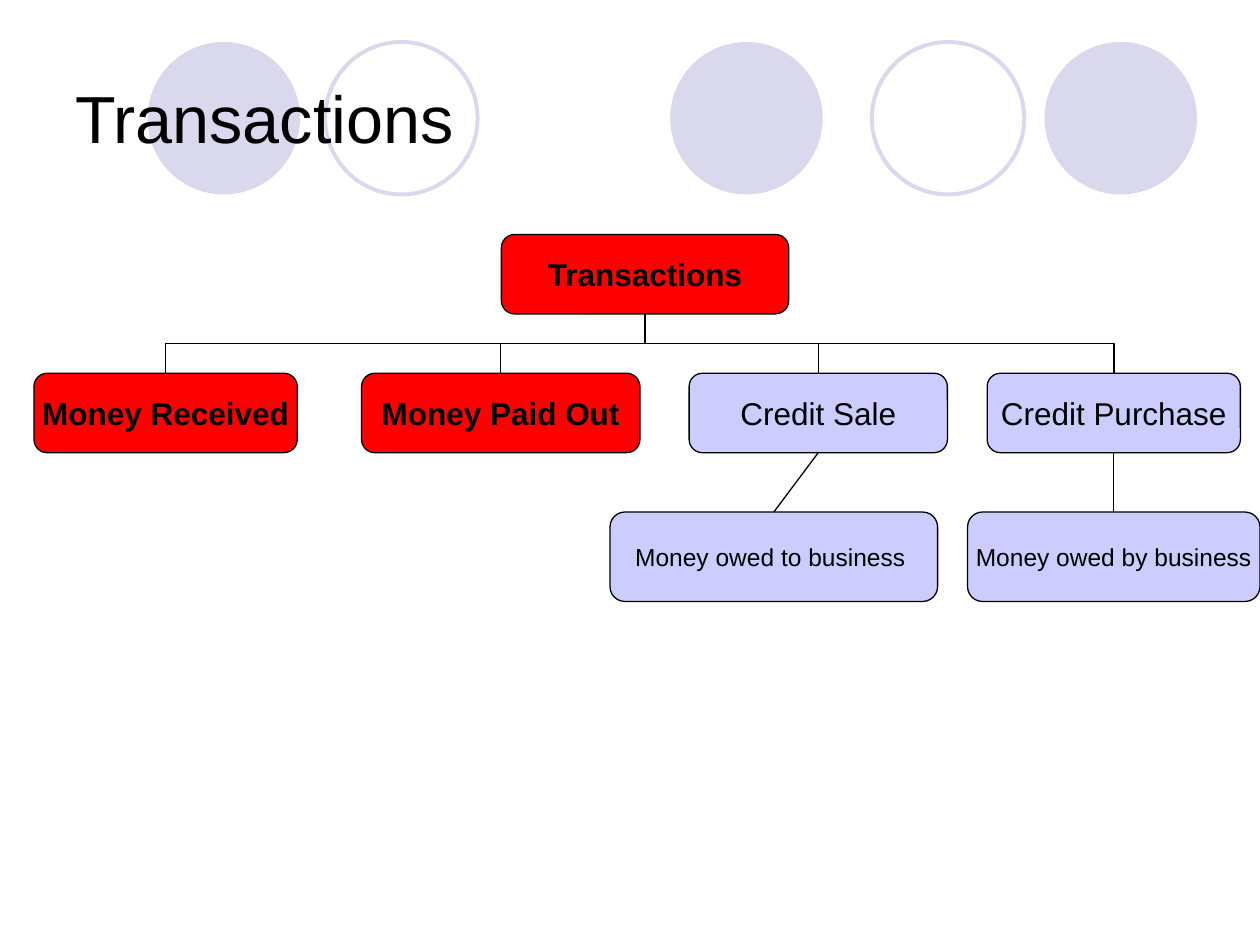
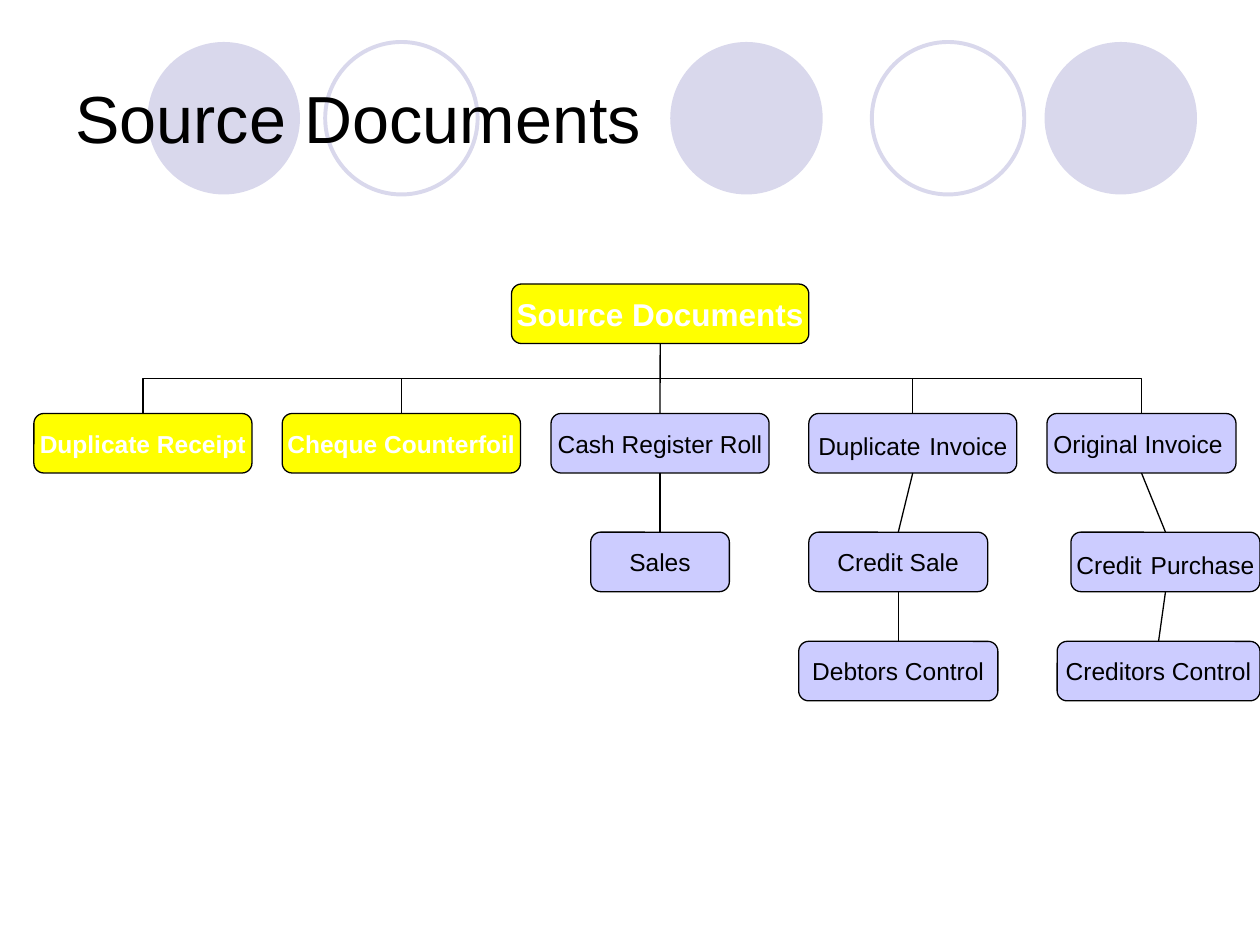
from collections import namedtuple

from lxml import etree
from pptx import Presentation
from pptx.dml.color import RGBColor
from pptx.enum import shapes, text
from pptx.oxml.ns import qn
from pptx.util import Pt

# Shared look
FONT = "Arial"
BLACK = RGBColor(0x00, 0x00, 0x00)
WHITE = RGBColor(0xFF, 0xFF, 0xFF)
RED = RGBColor(0xFF, 0x00, 0x00)
YELLOW = RGBColor(0xFF, 0xFF, 0x00)
LILAC = RGBColor(0xCC, 0xCC, 0xFF)
PALE = RGBColor(0xD9, 0xD8, 0xEC)
HEADER_BOX = (36, 21.6, 648, 90)
CHART_LEFT = 19.4

# Box looks: fill, font colour, bold
Look = namedtuple("Look", "fill color bold")
PLAIN = Look(LILAC, BLACK, False)
RED_MARK = Look(RED, BLACK, True)
YELLOW_MARK = Look(YELLOW, WHITE, True)

# A tier lies dy below the top of its chart; a node lies dx from its left edge
# and hangs from the node of that index in the tier above.
Tier = namedtuple("Tier", "dy height size nodes")
Node = namedtuple("Node", "runs dx width look parent", defaults=(PLAIN, 0))

TRANSACTIONS = [
    Tier(0, 45.4, 18, [Node(["Transactions"], 267.1, 164.2, RED_MARK)]),
    Tier(79.3, 45.4, 18, [
        Node(["Money Received"], 0, 150.5, RED_MARK),
        Node(["Money Paid Out"], 187.2, 159.1, RED_MARK),
        Node(["Credit Sale"], 374.4, 147.6),
        Node(["Credit Purchase"], 544.7, 144.7),
    ]),
    Tier(158.6, 51.1, 14, [
        Node(["Money owed to business "], 329.2, 187.2, PLAIN, 2),
        Node(["Money owed by business"], 533.5, 167.1, PLAIN, 3),
    ]),
]

SOURCE_DOCUMENTS = [
    Tier(0, 34, 18, [Node(["Source Documents"], 272.9, 169.9, YELLOW_MARK)]),
    Tier(74, 34, 14, [
        Node(["Duplicate Receipt"], 0, 124.6, YELLOW_MARK),
        Node(["Cheque Counterfoil"], 141.9, 136.1, YELLOW_MARK),
        Node(["Cash Register Roll"], 295.5, 124.6),
        Node(["Duplicate", " ", "Invoice"], 442.8, 118.8),
        Node(["Original Invoice "], 578.9, 108),
    ]),
    Tier(141.8, 34, 14, [
        Node(["Sales"], 318.2, 79.2, PLAIN, 2),
        Node(["Credit Sale"], 442.8, 102.2, PLAIN, 3),
        Node(["Credit", " ", "Purchase"], 592.6, 108, PLAIN, 4),
    ]),
    Tier(204.2, 34, 14, [
        Node(["Debtors Control"], 437, 113.8, PLAIN, 1),
        Node(["Creditors Control"], 584.7, 115.9, PLAIN, 2),
    ]),
]


def add_run(p, words, size, color=BLACK, bold=False):
    r = p.add_run()
    r.text = words
    r.font.name, r.font.size, r.font.bold = FONT, Pt(size), bold
    r.font.color.rgb = color


def add_header(s, title, left, top, width, height):
    # Row of filled and open circles
    circle = 87.1
    for dx, is_open in [(347, False), (560.9, False), (48.3, False),
                        (462.2, True), (149.8, True)]:
        sp = s.shapes.add_shape(shapes.MSO_SHAPE.OVAL, Pt(left + dx), Pt(top + 2.4),
                                Pt(circle), Pt(circle))
        sp.shadow.inherit = False
        if is_open:
            sp.fill.background()
            sp.line.color.rgb = PALE
            sp.line.width = Pt(2.25)
        else:
            sp.fill.solid()
            sp.fill.fore_color.rgb = PALE
            sp.line.fill.background()
    # Title over the circles
    tf = s.shapes.add_textbox(Pt(left), Pt(top), Pt(width), Pt(height)).text_frame
    tf.word_wrap = True
    tf.vertical_anchor = text.MSO_ANCHOR.MIDDLE
    add_run(tf.paragraphs[0], title, 38)


def add_box(s, node, size, left, top, height):
    sp = s.shapes.add_shape(shapes.MSO_SHAPE.ROUNDED_RECTANGLE, Pt(left), Pt(top),
                            Pt(node.width), Pt(height))
    sp.shadow.inherit = False
    sp.fill.solid()
    sp.fill.fore_color.rgb = node.look.fill
    sp.line.color.rgb = BLACK
    sp.line.width = Pt(0.75)
    tf = sp.text_frame
    tf.word_wrap = False
    tf.vertical_anchor = text.MSO_ANCHOR.MIDDLE
    p = tf.paragraphs[0]
    p.alignment = text.PP_ALIGN.CENTER
    for words in node.runs:
        # A space in a run of its own is set larger
        add_run(p, words, 18 if words == " " else size, node.look.color, node.look.bold)
    return sp


def join(s, parent, child, bent):
    x1, y1 = parent.left + parent.width // 2, parent.top + parent.height
    x2, y2 = child.left + child.width // 2, child.top
    bent = bent and abs(x2 - x1) > Pt(1)
    kind = shapes.MSO_CONNECTOR.ELBOW if bent else shapes.MSO_CONNECTOR.STRAIGHT
    c = s.shapes.add_connector(kind, x1, y1, x2, y2)
    c.begin_connect(parent, 2)
    c.end_connect(child, 0)
    c.line.color.rgb = BLACK
    c.line.width = Pt(0.75)
    etree.SubElement(c._element.spPr, qn("a:effectLst"))
    if bent:
        # Turn the elbow so that it leaves downwards
        c.width, c.height = y2 - y1, abs(x2 - x1)
        c.left = (x1 + x2 - c.width) // 2
        c.top = (y1 + y2 - c.height) // 2
        xfrm = c._element.spPr.find(qn("a:xfrm"))
        rightward = x2 > x1
        xfrm.set("rot", str((270 if rightward else 90) * 60000))
        xfrm.set("flipH", "1" if rightward else "0")


def add_tree(s, tiers, left, top):
    above = []
    for level, tier in enumerate(tiers):
        boxes = [add_box(s, node, tier.size, left + node.dx, top + tier.dy, tier.height)
                 for node in tier.nodes]
        if above:
            for node, box in zip(tier.nodes, boxes):
                join(s, above[node.parent], box, bent=level == 1)
        above = boxes


def add_tree_slide(prs, title, tiers, top):
    s = prs.slides.add_slide(prs.slide_layouts[6])
    s.background.fill.solid()
    s.background.fill.fore_color.rgb = WHITE
    add_header(s, title, *HEADER_BOX)
    add_tree(s, tiers, CHART_LEFT, top)


def main():
    prs = Presentation()
    prs.slide_width, prs.slide_height = Pt(720), Pt(540)
    add_tree_slide(prs, "Transactions", TRANSACTIONS, 134)
    add_tree_slide(prs, "Source Documents", SOURCE_DOCUMENTS, 162.3)
    prs.save("out.pptx")


if __name__ == "__main__":
    main()
